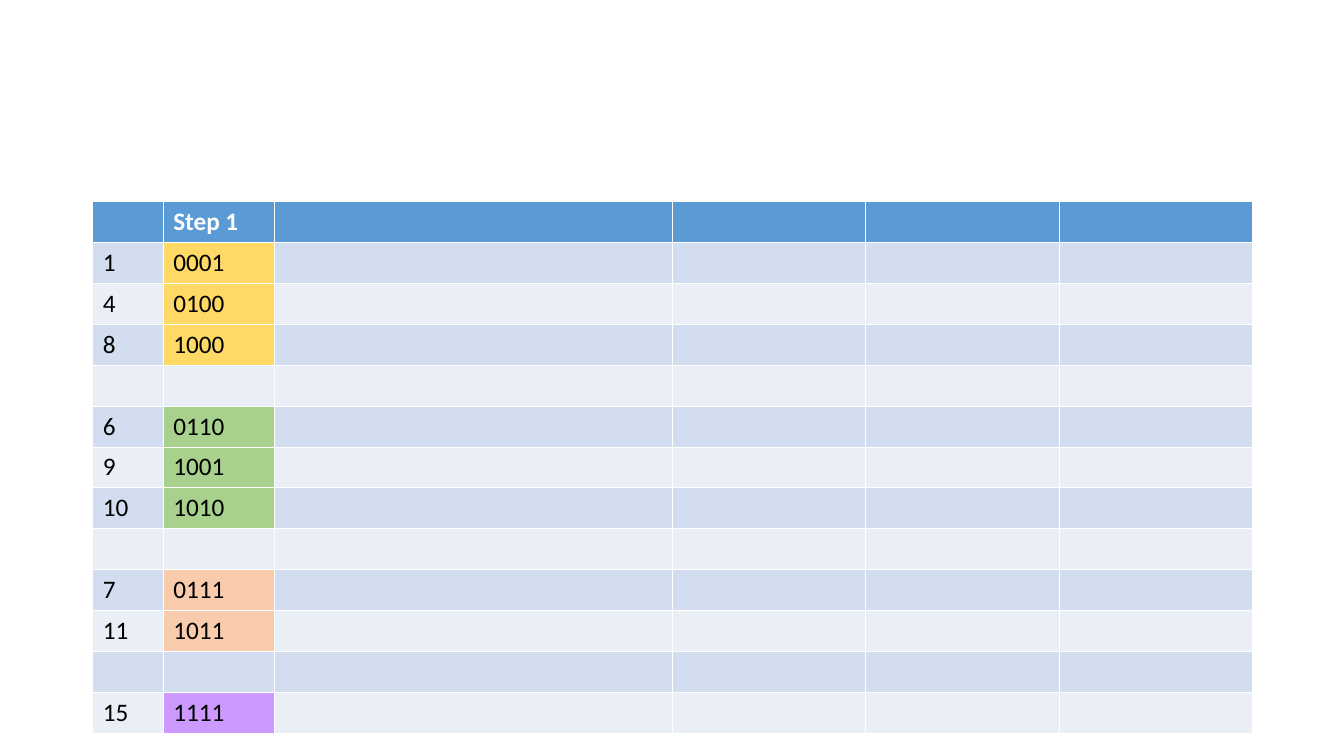
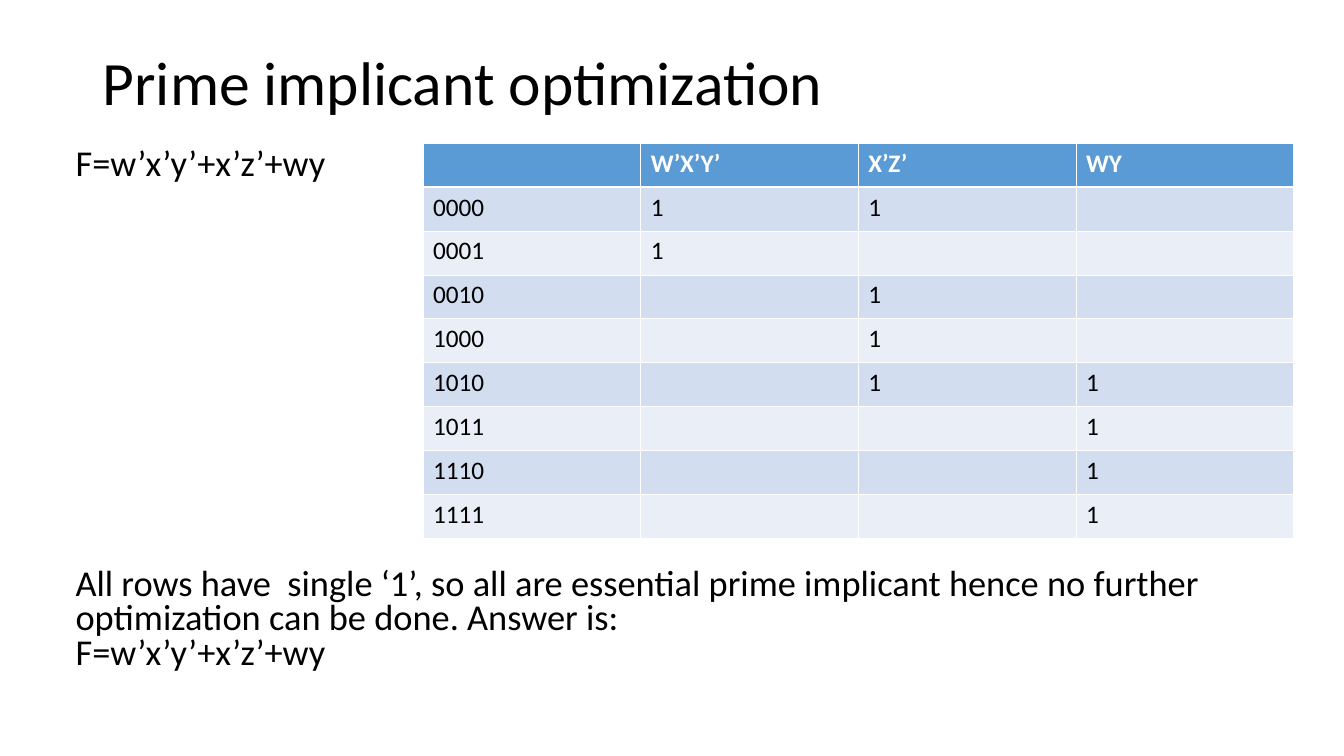
import dataclasses
import typing

import lxml.etree
import pptx
import pptx.dml.color
import pptx.enum.text
import pptx.oxml.ns
import pptx.presentation
import pptx.shapes.base
import pptx.slide
import pptx.table
import pptx.util

Inches = pptx.util.Inches
FONT = "Calibri"
BLACK, WHITE = "000000", "FFFFFF"
HEADER_FILL = "5B9BD5"
BAND_FILLS = ("D2DEEF", "EAEFF7")
YELLOW, GREEN, PEACH, PURPLE = "FFD966", "A9D18E", "F8CBAD", "CC99FF"
THIN, THICK = 0.45, 1.47

TITLE_FORMAT = {"size": pptx.util.Pt(44), "name": FONT, "bold": False}
BODY_FORMAT = {"size": pptx.util.Pt(26), "name": FONT, "bold": False}
HEADER_FORMAT = {"size": pptx.util.Pt(18), "name": FONT, "bold": True}
CELL_FORMAT = {**HEADER_FORMAT, "bold": False}
FRAME_FORMAT = {"word_wrap": True, "auto_size": pptx.enum.text.MSO_AUTO_SIZE.NONE}


@dataclasses.dataclass(frozen=True)
class Box:
    left: float
    top: float
    width: float
    height: float


@dataclasses.dataclass(frozen=True)
class TextLine:
    text: str
    space_before: float = 0


@dataclasses.dataclass(frozen=True)
class Grid:
    box: Box
    column_widths: tuple[float, ...]
    rows: list[tuple[str, ...]]
    highlights: dict[tuple[int, int], str] = dataclasses.field(default_factory=dict)


@dataclasses.dataclass(frozen=True)
class MintermGroup:
    fill: str
    numbers: tuple[int, ...]


MINTERM_GROUPS = (
    MintermGroup(YELLOW, (1, 4, 8)),
    MintermGroup(GREEN, (6, 9, 10)),
    MintermGroup(PEACH, (7, 11)),
    MintermGroup(PURPLE, (15,)),
)

IMPLICANT_ROWS = [
    ("", "W’X’Y’", "X’Z’", "WY"),
    ("0000", "1", "1", ""),
    ("0001", "1", "", ""),
    ("0010", "", "1", ""),
    ("1000", "", "1", ""),
    ("1010", "", "1", "1"),
    ("1011", "", "", "1"),
    ("1110", "", "", "1"),
    ("1111", "", "", "1"),
]

FORMULA = "F=w’x’y’+x’z’+wy"
CONCLUSION = (
    "All rows have  single ‘1’, so all are essential prime implicant "
    "hence no further optimization can be done. Answer is:"
)


def color(value: str) -> pptx.dml.color.RGBColor:
    return pptx.dml.color.RGBColor.from_string(value)


def apply_format(target: typing.Any, values: dict[str, typing.Any]) -> None:
    for name, value in values.items():
        setattr(target, name, value)


def write_run(paragraph: typing.Any, text: str, values: dict[str, typing.Any], text_color: str) -> None:
    run = paragraph.add_run()
    run.text = text
    apply_format(run.font, values)
    run.font.color.rgb = color(text_color)


def fill_placeholder(
    shape: pptx.shapes.base.BaseShape,
    box: Box,
    lines: tuple[TextLine, ...],
    values: dict[str, typing.Any],
    line_spacing: float,
    anchor: pptx.enum.text.MSO_ANCHOR,
) -> None:
    apply_format(shape, {name: Inches(length) for name, length in dataclasses.asdict(box).items()})
    frame = shape.text_frame
    apply_format(frame, {**FRAME_FORMAT, "vertical_anchor": anchor})
    for index, line in enumerate(lines):
        paragraph = frame.add_paragraph() if index else frame.paragraphs[0]
        apply_format(paragraph, {
            "alignment": pptx.enum.text.PP_ALIGN.LEFT,
            "line_spacing": line_spacing,
            "space_before": pptx.util.Pt(line.space_before),
        })
        properties = paragraph._p.get_or_add_pPr()
        apply_indent = {"marL": "0", "indent": "0"}
        for name, value in apply_indent.items():
            properties.set(name, value)
        lxml.etree.SubElement(properties, pptx.oxml.ns.qn("a:buNone"))
        write_run(paragraph, line.text, values, BLACK)


def set_borders(cell: pptx.table._Cell, top: float, bottom: float) -> None:
    properties = cell._tc.get_or_add_tcPr()
    widths = {"lnL": THIN, "lnR": THIN, "lnT": top, "lnB": bottom}
    for index, (side, width) in enumerate(widths.items()):
        line = lxml.etree.Element(pptx.oxml.ns.qn(f"a:{side}"), w=str(pptx.util.Pt(width)))
        fill = lxml.etree.SubElement(line, pptx.oxml.ns.qn("a:solidFill"))
        lxml.etree.SubElement(fill, pptx.oxml.ns.qn("a:srgbClr"), val=WHITE)
        properties.insert(index, line)


def draw_grid(slide: pptx.slide.Slide, grid: Grid) -> None:
    lengths = [Inches(length) for length in dataclasses.astuple(grid.box)]
    table = slide.shapes.add_table(len(grid.rows), len(grid.column_widths), *lengths).table
    for column, width in zip(table.columns, grid.column_widths):
        column.width = Inches(width)
    for row_index, texts in enumerate(grid.rows):
        is_header = row_index == 0
        band = HEADER_FILL if is_header else BAND_FILLS[(row_index - 1) % 2]
        for column_index, text in enumerate(texts):
            cell = table.cell(row_index, column_index)
            cell.fill.solid()
            cell.fill.fore_color.rgb = color(grid.highlights.get((row_index, column_index), band))
            set_borders(cell, THICK if row_index == 1 else THIN, THICK if is_header else THIN)
            if text:
                values = HEADER_FORMAT if is_header else CELL_FORMAT
                write_run(cell.text_frame.paragraphs[0], text, values, WHITE if is_header else BLACK)


def minterm_grid() -> Grid:
    widths = (0.7, 1.1, 3.95, 1.92, 1.92, 1.92)
    unused = ("",) * (len(widths) - 2)
    rows = [("", "Step 1", *unused)]
    highlights = {}
    for group in MINTERM_GROUPS:
        if len(rows) > 1:
            rows.append(("", "", *unused))
        for number in group.numbers:
            highlights[len(rows), 1] = group.fill
            rows.append((str(number), f"{number:04b}", *unused))
    return Grid(Box(0.92, 2, 11.5, 5.27), widths, rows, highlights)


def build_minterm_slide(presentation: pptx.presentation.Presentation) -> None:
    slide = presentation.slides.add_slide(presentation.slide_layouts[6])
    draw_grid(slide, minterm_grid())


def build_implicant_slide(presentation: pptx.presentation.Presentation) -> None:
    slide = presentation.slides.add_slide(presentation.slide_layouts[1])
    anchors = pptx.enum.text.MSO_ANCHOR
    title = (TextLine("Prime implicant optimization"),)
    fill_placeholder(slide.shapes.title, Box(0.92, 0.4, 11.5, 0.9), title, TITLE_FORMAT, 0.9, anchors.MIDDLE)
    body = (TextLine(FORMULA), TextLine(CONCLUSION, 275), TextLine(FORMULA))
    fill_placeholder(slide.placeholders[1], Box(0.65, 1.42, 11.77, 6.08), body, BODY_FORMAT, 0.8, anchors.TOP)
    draw_grid(slide, Grid(Box(4.2, 1.42, 8.65, 3.92), (2.16,) * 4, IMPLICANT_ROWS))


def main() -> None:
    presentation = pptx.Presentation()
    apply_format(presentation, {"slide_width": Inches(13.34), "slide_height": Inches(7.5)})
    build_minterm_slide(presentation)
    build_implicant_slide(presentation)
    presentation.save("out.pptx")


if __name__ == "__main__":
    main()
